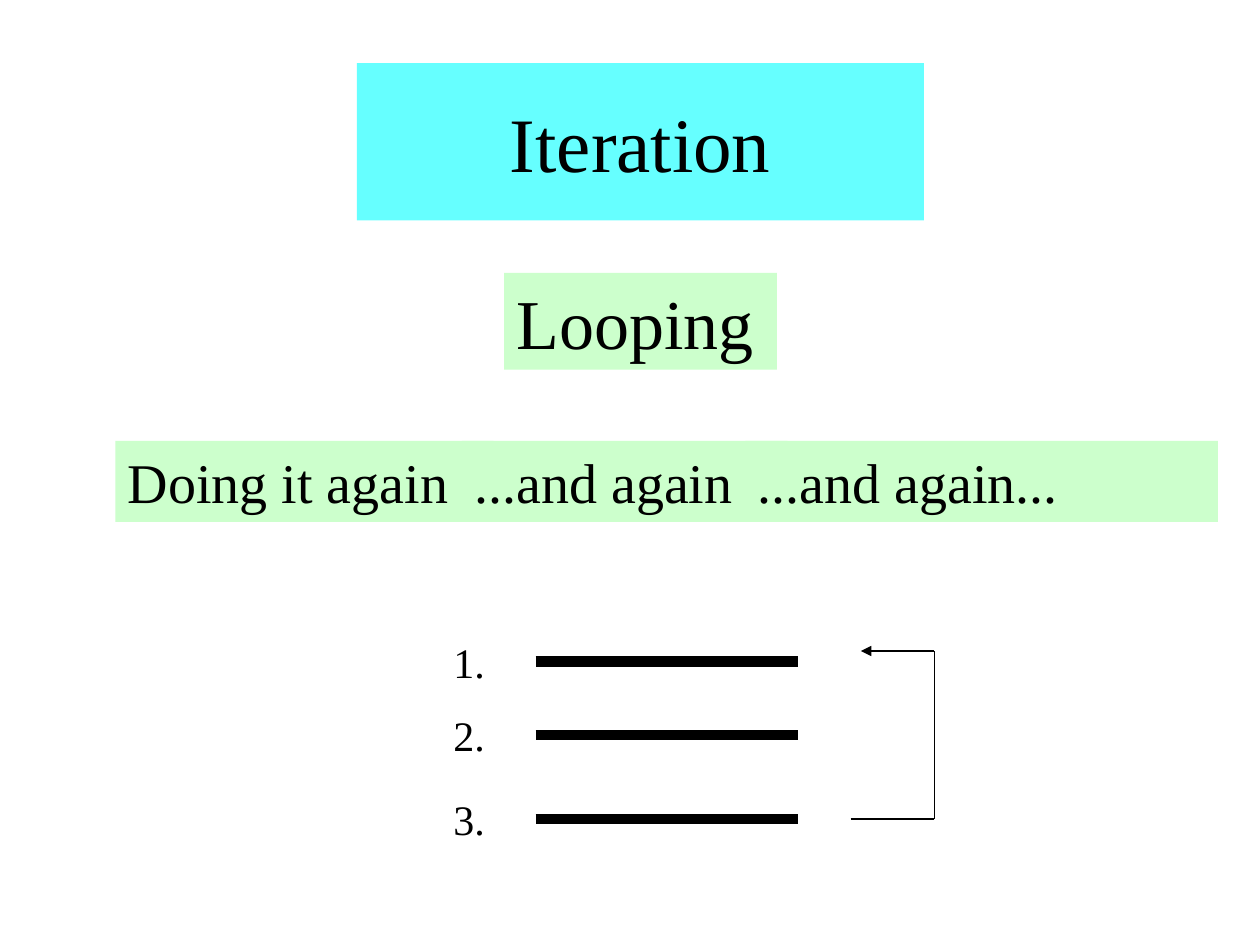
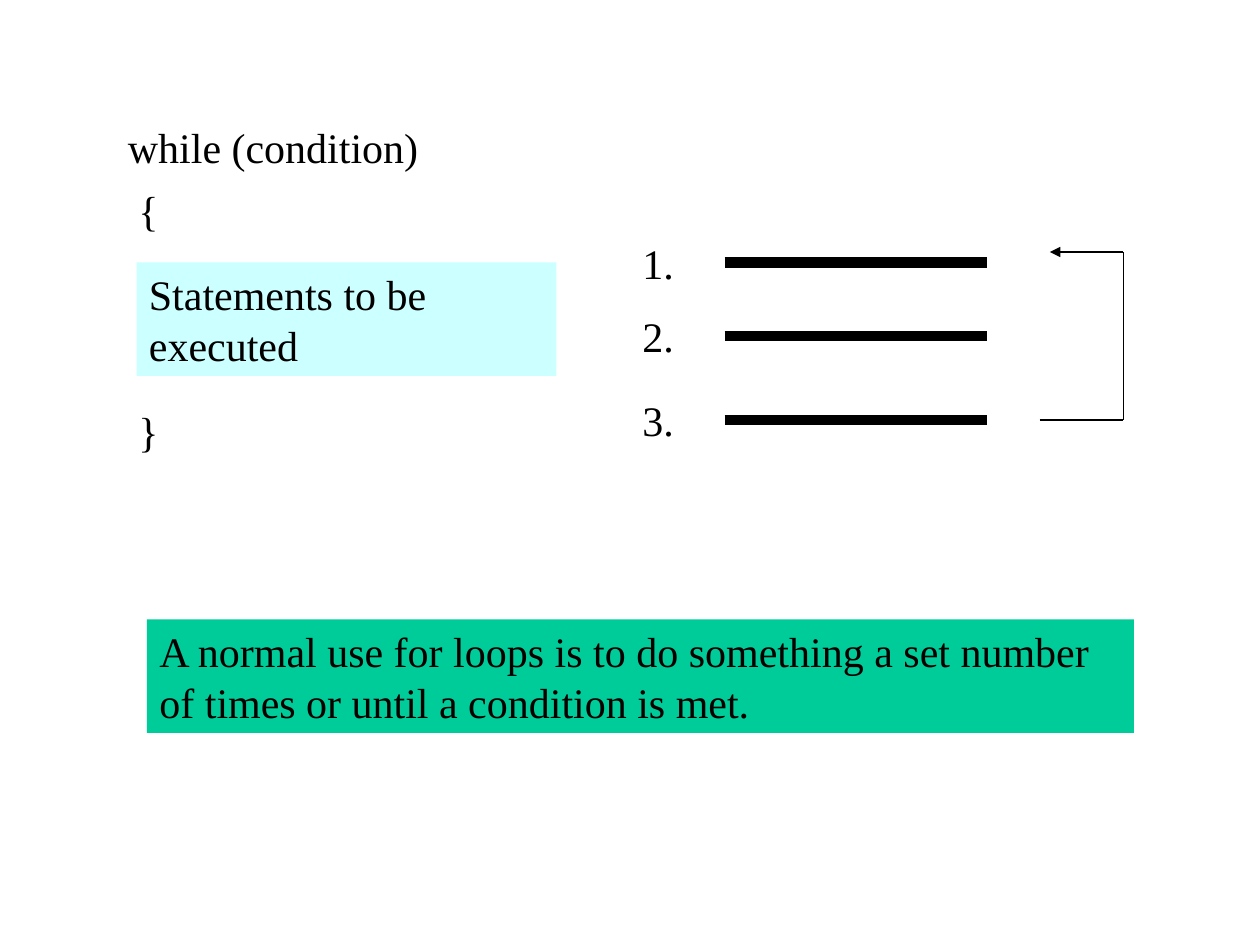
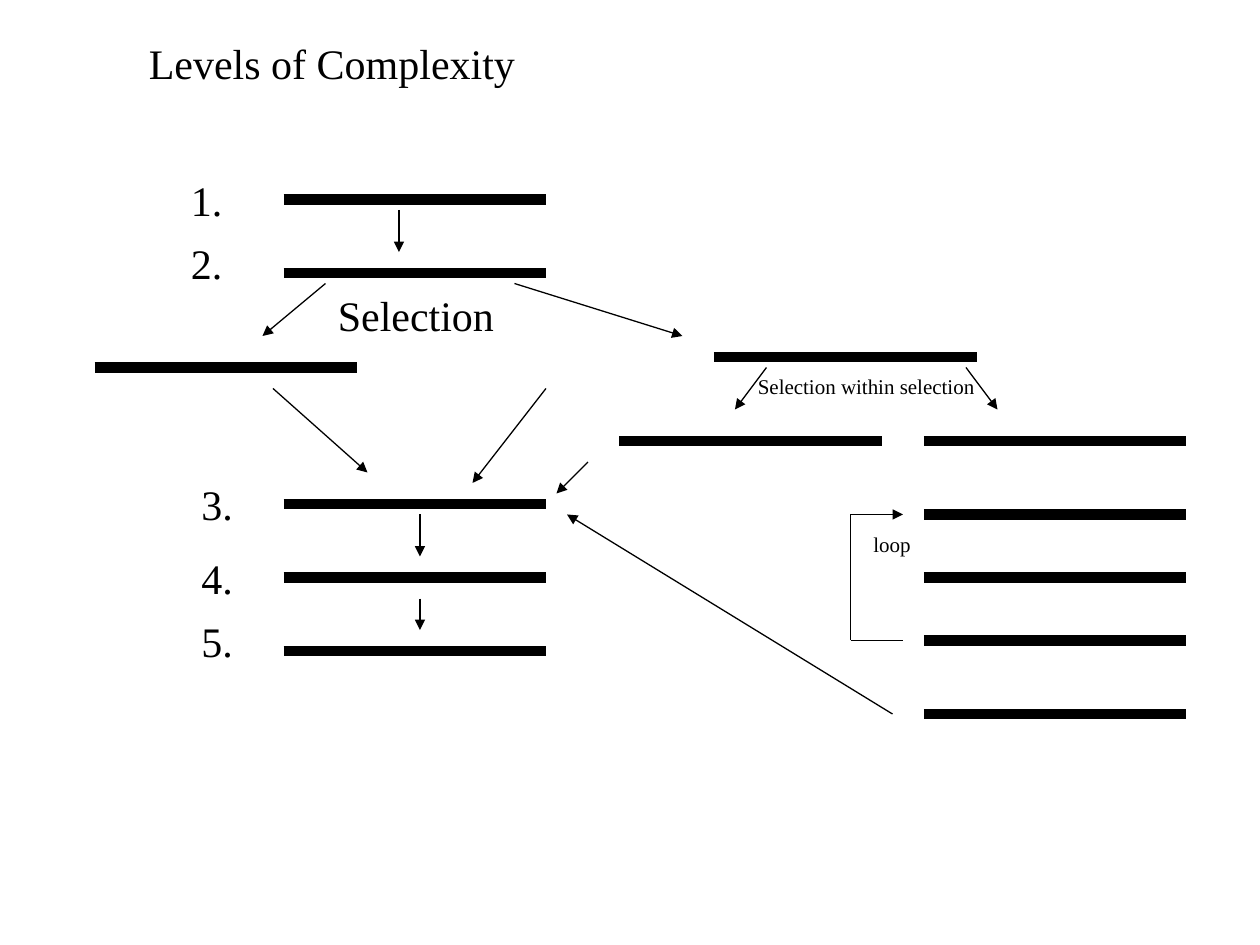
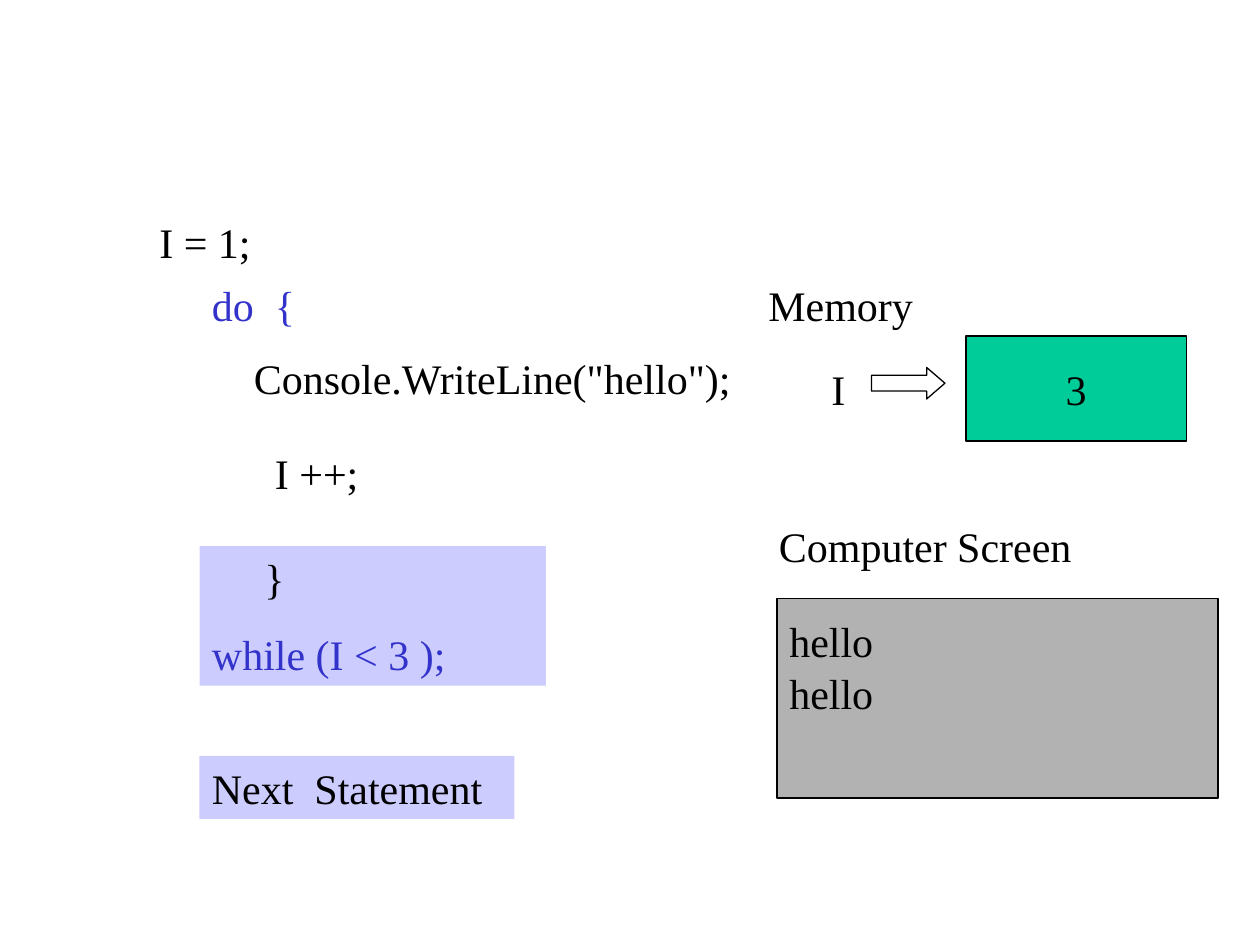
import itertools

import pptx
import pptx.dml.color
import pptx.enum.shapes
import pptx.enum.text
import pptx.oxml.ns
import pptx.util
from lxml import etree

RGB = pptx.dml.color.RGBColor
BLACK = RGB(0x00, 0x00, 0x00)
CYAN = RGB(0x66, 0xFF, 0xFF)
MINT = RGB(0xCC, 0xFF, 0xCC)
PALE = RGB(0xCC, 0xFF, 0xFF)
GREEN = RGB(0x00, 0xCC, 0x99)
LILAC = RGB(0xCC, 0xCC, 0xFF)
GREY = RGB(0xB2, 0xB2, 0xB2)
BLUE = RGB(0x33, 0x33, 0xCC)

FONT = "Times New Roman"
SHAPE = pptx.enum.shapes.MSO_SHAPE
COLS, ROWS = 120, 90  # grid of the slide
BAR = 25  # columns in one statement bar
THICK, THIN = 6, 0.75  # line widths in points


class Deck:
    """Holds the style and the current slide; lengths are in grid cells."""

    def __init__(self):
        self.prs = pptx.Presentation()
        self.prs.slide_width = pptx.util.Inches(10)
        self.prs.slide_height = pptx.util.Inches(7.5)
        self.slide = None

    def page(self):
        self.slide = self.prs.slides.add_slide(self.prs.slide_layouts[6])

    def x(self, col):
        return round(self.prs.slide_width * col / COLS)

    def y(self, row):
        return round(self.prs.slide_height * row / ROWS)

    def area(self, col, row, wide, high):
        return self.x(col), self.y(row), self.x(wide), self.y(high)

    def label(self, shape, lines, size, color, mid):
        """Fill a shape with paragraphs, one for each line of text."""
        frame = shape.text_frame
        frame.word_wrap = True
        anchor = pptx.enum.text.MSO_ANCHOR
        frame.vertical_anchor = anchor.MIDDLE if mid else anchor.TOP
        align = pptx.enum.text.PP_ALIGN
        frame.text = lines
        for para in frame.paragraphs:
            para.alignment = align.CENTER if mid else align.LEFT
            para.space_before = pptx.util.Pt(0 if mid else size * 0.625)
            para.font.name = FONT
            para.font.size = pptx.util.Pt(size)
            para.font.color.rgb = color
        return frame.paragraphs

    def text(self, col, row, wide, words, size=24, color=BLACK):
        box = self.slide.shapes.add_textbox(
            *self.area(col, row, wide, size / 4))
        self.label(box, words, size, color, False)

    def shape(self, col, row, wide, high, fill=None, edge=False,
              kind=SHAPE.RECTANGLE):
        item = self.slide.shapes.add_shape(
            kind, *self.area(col, row, wide, high))
        item.shadow.inherit = False
        if fill is None:
            item.fill.background()
        else:
            item.fill.solid()
            item.fill.fore_color.rgb = fill
        if edge:
            item.line.color.rgb = BLACK
            item.line.width = pptx.util.Pt(THIN)
        else:
            item.line.fill.background()
        return item

    def panel(self, col, row, wide, high, fill, words, size=24, mid=False,
              edge=False):
        item = self.shape(col, row, wide, high, fill, edge)
        return self.label(item, words, size, BLACK, mid)

    def line(self, start, end, width=THIN, head=False):
        link = self.slide.shapes.add_connector(
            pptx.enum.shapes.MSO_CONNECTOR.STRAIGHT,
            self.x(start[0]), self.y(start[1]), self.x(end[0]), self.y(end[1]))
        link.line.color.rgb = BLACK
        link.line.width = pptx.util.Pt(width)
        name = pptx.oxml.ns.qn
        if head:
            tip = etree.SubElement(link.line._ln, name("a:tailEnd"))
            tip.set("type", "triangle")
        etree.SubElement(link._element.spPr, name("a:effectLst"))

    def bar(self, col, row):
        self.line((col, row), (col + BAR, row), THICK)

    def arrow(self, start, end):
        self.line(start, end, head=True)

    def loop(self, near, far, low, top, tip):
        """Path that leaves near, turns at far and points back to tip."""
        path = [(near, low), (far, low), (far, top), (tip, top)]
        for start, end in itertools.pairwise(path):
            self.line(start, end, head=end == path[-1])

    def steps(self, col, row):
        """Three numbered statements with a loop back to the first."""
        for num, drop in enumerate((0, 7, 15), 1):
            self.bar(col + 9, row + drop + 3)
            self.text(col, row + drop, 7, f"{num}.")
        self.loop(col + 39, col + 47, row + 18, row + 2, col + 40)


def title(deck):
    deck.page()
    deck.panel(34, 6, 54, 15, CYAN, "Iteration", 44, mid=True)
    deck.panel(48, 26, 26, 9.2, MINT, "Looping", 40)
    again = [(11, 36, "Doing it again"), (44, 31, "...and again"),
             (71, 45, "...and again...")]
    for col, wide, words in again:
        deck.panel(col, 42, wide, 7.7, MINT, words, 32)
    deck.steps(42, 60)


def syntax(deck):
    deck.page()
    deck.text(11, 11, 32, "while (condition)")
    deck.text(12, 17, 5, "{")
    deck.panel(13, 25, 40, 10.8, PALE, "Statements to be executed")
    deck.text(12, 38, 6, "}")
    deck.panel(14, 59, 94, 10.8, GREEN,
               "A normal use for loops is to do something a set number "
               "of times or until a condition is met.")
    deck.steps(60, 22)


def levels(deck):
    deck.page()
    deck.text(13, 3, 47, "Levels of Complexity")
    # Statement bars, by column
    bars = {27: (19, 26, 48, 55, 62), 9: (35,), 68: (34,), 59: (42,),
            88: (42, 49, 55, 61, 68)}
    for col, rows in bars.items():
        for row in rows:
            deck.bar(col, row)
    # Step numbers
    spots = [(17, 16), (17, 22), (18, 45), (18, 52), (18, 58)]
    for num, (col, row) in enumerate(spots, 1):
        deck.text(col, row, 7, f"{num}.")
    # Flow between the statements
    flow = [
        ((38, 20), (38, 24)), ((31, 27), (25, 32)), ((49, 27), (65, 32)),
        ((52, 37), (45, 46)), ((26, 37), (35, 45)), ((40, 49), (40, 53)),
        ((40, 57), (40, 60)), ((73, 35), (70, 39)), ((92, 35), (95, 39)),
        ((56, 44), (53, 47)), ((85, 68), (54, 49)),
    ]
    for start, end in flow:
        deck.arrow(start, end)
    deck.loop(86, 81, 61, 49, 86)
    # Labels
    deck.text(31, 27, 26, "Selection")
    deck.text(82, 50, 9, "loop", 12)
    deck.text(71, 35, 29, "Selection within selection", 12)


def trace(deck):
    deck.page()
    # Memory
    deck.panel(92, 32, 21, 10, GREEN, "3", mid=True, edge=True)
    deck.text(72, 26, 34, "Memory")
    deck.text(78, 34, 9, "I")
    point = deck.shape(83, 35, 7, 3, edge=True, kind=SHAPE.RIGHT_ARROW)
    point.adjustments[1] = 0.58
    # Screen
    deck.shape(74, 57, 42, 19, GREY, edge=True)
    deck.text(73, 49, 36, "Computer Screen")
    for row in (58, 63):
        deck.text(74, row, 18, "hello")
    # Code
    deck.text(14, 20, 12, "I = 1;")
    deck.text(19, 26, 16, "do  {", color=BLUE)
    deck.text(23, 33, 51, 'Console.WriteLine("hello");')
    deck.text(25, 42, 20, "I ++;")
    brace, test = deck.panel(19, 52, 33, 13.3, LILAC, "}\nwhile (I < 3 );")
    brace._p.get_or_add_pPr().set("marL", str(deck.x(5)))
    test.font.color.rgb = BLUE
    deck.panel(19, 72, 30, 6, LILAC, "Next  Statement")


def main():
    deck = Deck()
    for draw in (title, syntax, levels, trace):
        draw(deck)
    deck.prs.save("out.pptx")


if __name__ == "__main__":
    main()
